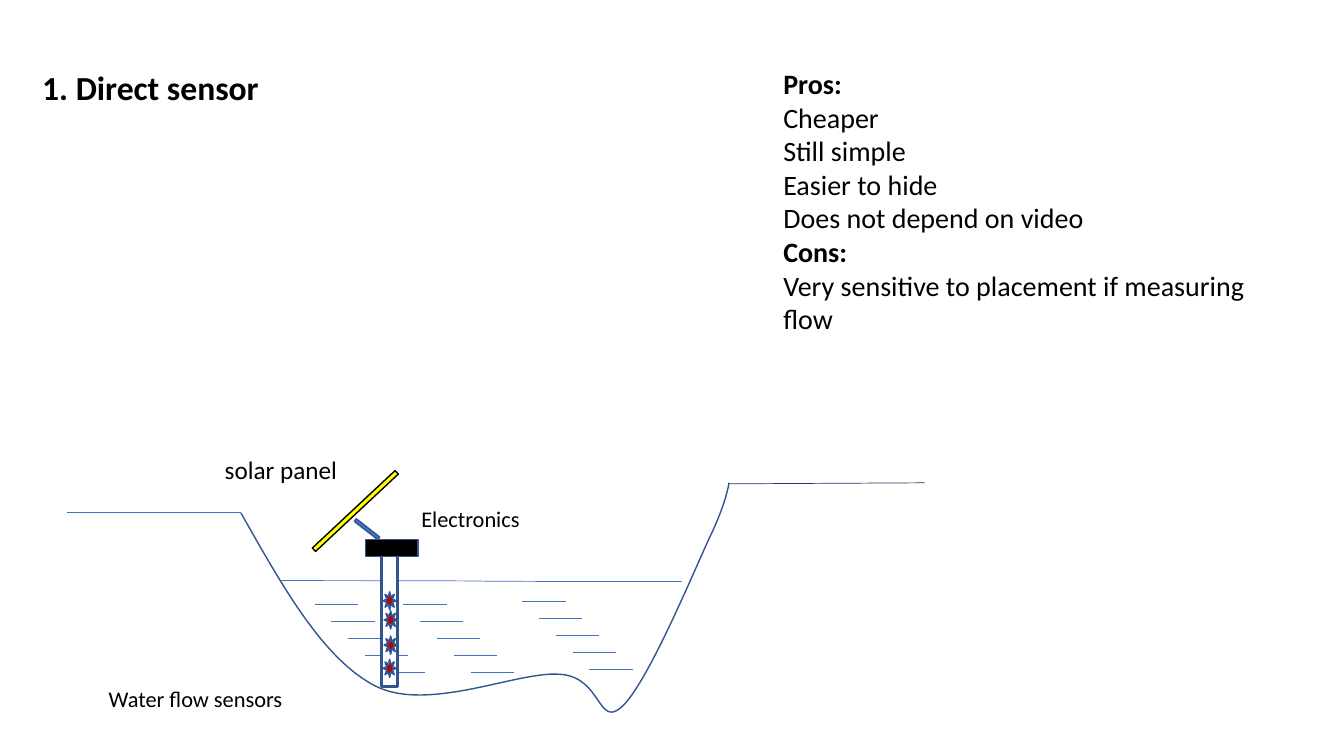
from lxml.etree import SubElement
from pptx import Presentation
from pptx.dml.color import RGBColor
from pptx.enum.shapes import MSO_CONNECTOR, MSO_SHAPE
from pptx.oxml.ns import qn
from pptx.util import Inches, Pt

BLACK = RGBColor(0x00, 0x00, 0x00)
WHITE = RGBColor(0xFF, 0xFF, 0xFF)
YELLOW = RGBColor(0xFF, 0xFF, 0x00)
RED = RGBColor(0xC0, 0x00, 0x00)
BLUE = RGBColor(0x44, 0x72, 0xC4)
OUTLINE = RGBColor(0x32, 0x54, 0x91)
NAVY = RGBColor(0x20, 0x38, 0x64)

BANK_START = (0, 0.3)
BANK_CURVES = [
    ((0.41, 1.02), (0.81, 1.75), (1.34, 2.02)),
    ((1.87, 2.28), (2.76, 1.86), (3.17, 1.9)),
    ((3.58, 1.93), (3.54, 2.44), (3.78, 2.22)),
    ((4.03, 1.99), (4.47, 0.93), (4.64, 0.56)),
    ((4.82, 0.19), (4.84, 0), (4.84, 0)),
]
CURVE_STEPS = 24
RIPPLE_STARTS = [(1.61, 1.21), (0.73, 1.21), (2.79, 1.18)]
RIPPLES_PER_GROUP = 5
RIPPLE_STEP = 1 / 6
RIPPLE_WIDTH = 0.43
FLOW_SENSORS = [(1.04, 0.9), (1.05, 1.09), (1.05, 1.34), (1.04, 1.57)]


def apply_format(target, values):
    for name, value in values.items():
        setattr(target, name, value)


def outline(line, color, width):
    line.fill.solid()
    line.fill.fore_color.rgb = color
    line.width = Pt(width)


def bezier(start, first, second, end):
    for step in range(1, CURVE_STEPS + 1):
        t = step / CURVE_STEPS
        weights = ((1 - t) ** 3, 3 * t * (1 - t) ** 2, 3 * t * t * (1 - t), t ** 3)
        yield tuple(
            sum(w * value for w, value in zip(weights, axis))
            for axis in zip(start, first, second, end)
        )


def add_line(slide, start, end, color=BLUE, kind=MSO_CONNECTOR.STRAIGHT):
    stroke = slide.shapes.add_connector(kind, *map(Inches, start + end))
    outline(stroke.line, color, 0.5)
    SubElement(stroke._element.spPr, qn("a:effectLst"))


def add_part(slide, kind, box, fill, edge=OUTLINE, width=1, rotation=0):
    part = slide.shapes.add_shape(kind, *map(Inches, box))
    part.shadow.inherit = False
    part.rotation = rotation
    part.fill.solid()
    part.fill.fore_color.rgb = fill
    outline(part.line, edge, width)


def add_text(slide, box, paragraphs, size):
    frame = slide.shapes.add_textbox(*map(Inches, box)).text_frame
    frame.word_wrap = True
    for index, (words, bold) in enumerate(paragraphs):
        paragraph = frame.add_paragraph() if index else frame.paragraphs[0]
        run = paragraph.add_run()
        run.text = words
        apply_format(run.font, {"name": "Calibri", "size": Pt(size), "bold": bold})
        run.font.color.rgb = BLACK


def draw_channel(slide, left, top):
    def at(x, y):
        return left + x, top + y

    def emu(point):
        return tuple(map(Inches, at(*point)))

    bed_points = []
    start = BANK_START
    for curve in BANK_CURVES:
        bed_points += bezier(start, *curve)
        start = curve[-1]
    builder = slide.shapes.build_freeform(*emu(BANK_START))
    builder.add_line_segments([emu(point) for point in bed_points], close=False)
    bed = builder.convert_to_shape()
    bed.shadow.inherit = False
    bed.fill.background()
    outline(bed.line, OUTLINE, 1)

    add_line(slide, at(-1.73, 0.29), at(0, 0.29))
    add_line(slide, at(4.84, 0.01), at(6.78, 0), NAVY)
    add_line(slide, at(0.39, 0.97), at(4.37, 0.98), kind=MSO_CONNECTOR.CURVE)
    for x, y in RIPPLE_STARTS:
        for row in range(RIPPLES_PER_GROUP):
            shift = row * RIPPLE_STEP
            add_line(slide, at(x + shift, y + shift),
                     at(x + shift + RIPPLE_WIDTH, y + shift))


def draw_sensor_station(slide, left, top):
    def box(x, y, width, height):
        return left + x, top + y, width, height

    add_part(slide, MSO_SHAPE.RECTANGLE, box(1.02, 0.54, 0.16, 1.3), WHITE, width=2.25)
    for x, y in FLOW_SENSORS:
        add_part(slide, MSO_SHAPE.SUN, box(x, y, 0.13, 0.18), RED)
    bar = MSO_SHAPE.MATH_MINUS
    add_part(slide, bar, box(0.77, 0.11, 0.71, 0.71), BLACK)
    add_part(slide, bar, box(0, 0, 1.53, 0.2), YELLOW, BLACK, rotation=316.9)
    add_part(slide, bar, box(0.68, 0.21, 0.4, 0.14), BLUE, rotation=37.9)

    add_text(slide, box(-1.78, 1.78, 2.42, 0.37), [("Water flow sensors", False)], 16)
    add_text(slide, box(1.32, -0.01, 2.42, 0.37), [("Electronics", False)], 16)
    add_text(slide, box(-0.63, -0.51, 1.55, 0.4), [("solar panel", False)], 18)


def write_assessment(slide, left, top):
    add_text(slide, (left, top, 4.61, 0.5), [("1. Direct sensor", True)], 24)
    add_text(slide, (left + 7.35, top, 5.21, 3.53), [
        ("Pros:", True),
        ("Cheaper", False),
        ("Still simple", False),
        ("Easier to hide", False),
        ("Does not depend on video", False),
        ("Cons:", True),
        ("Very sensitive to placement if measuring flow", False),
    ], 20)


deck = Presentation()
apply_format(deck, {"slide_width": Inches(13.33), "slide_height": Inches(7.5)})
sensor_slide = deck.slides.add_slide(deck.slide_layouts[6])
draw_channel(sensor_slide, 2.39, 4.79)
draw_sensor_station(sensor_slide, 2.76, 4.97)
write_assessment(sensor_slide, 0.32, 0.61)
deck.save("out.pptx")
